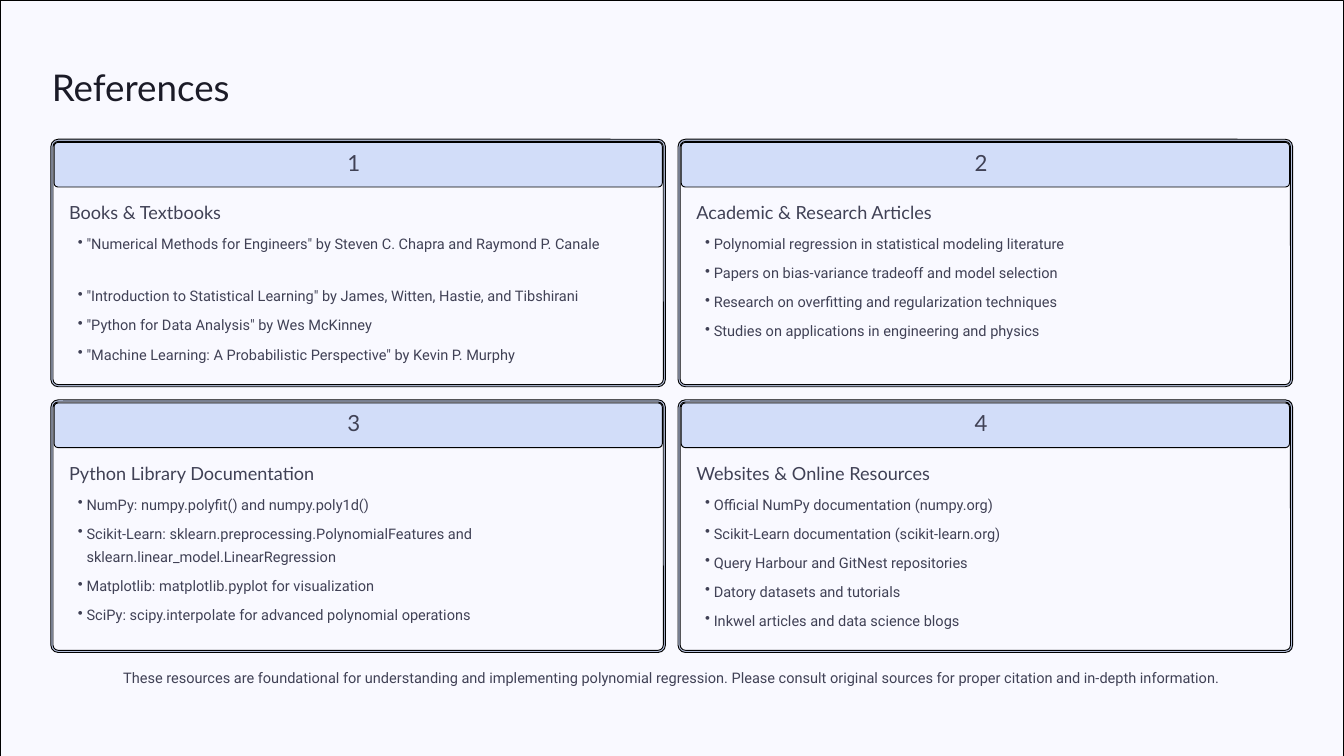
"""Build the references slide with four numbered source cards."""
from dataclasses import dataclass

from lxml.etree import SubElement
from pptx import Presentation
from pptx.dml.color import RGBColor
from pptx.enum.shapes import MSO_SHAPE as Shape
from pptx.enum.text import PP_ALIGN as Align
from pptx.oxml.ns import qn
from pptx.util import Pt

PAGE_WIDTH, PAGE_HEIGHT = 1440, 810
PAPER, BORDER, BAND = "F9F9FF", "B8C3DF", "D2DDF9"
INK, BODY_INK, OUTLINE = "1B1B27", "404155", "000000"

TITLE = {"font": "Lato", "size": 39.4, "color": INK, "line": 49.4}
NUMBER = {"font": "Lato", "size": 23.8, "color": BODY_INK, "line": 23.8}
HEADING = {"font": "Lato", "size": 19.4, "color": BODY_INK, "line": 24.4}
BODY = {"font": "Roboto", "size": 15.6, "color": BODY_INK, "line": 25}

CARD_LEFT, CARD_PITCH, CARD_WIDTH = 54.5, 672, 658.5
ROWS = [(149.2, 265.2), (428.4, 270.7)]
FRAME, BAND_INSET, BAND_HEIGHT = 2.3, 3.4, 47.8
TEXT_INSET, TEXT_WIDTH = 19.6, 620
ITEM_GAP = 6.15


@dataclass
class Card:
    """A source group, with any extra gap below its first item."""
    heading: str
    items: list
    first_gap: float = 0


CARDS = [
    Card("Books & Textbooks", [
        '"Numerical Methods for Engineers" by Steven C. Chapra and Raymond P. Canale',
        '"Introduction to Statistical Learning" by James, Witten, Hastie, and Tibshirani',
        '"Python for Data Analysis" by Wes McKinney',
        '"Machine Learning: A Probabilistic Perspective" by Kevin P. Murphy',
    ], first_gap=25),
    Card("Academic & Research Articles", [
        "Polynomial regression in statistical modeling literature",
        "Papers on bias-variance tradeoff and model selection",
        "Research on overfitting and regularization techniques",
        "Studies on applications in engineering and physics",
    ]),
    Card("Python Library Documentation", [
        "NumPy: numpy.polyfit() and numpy.poly1d()",
        "Scikit-Learn: sklearn.preprocessing.PolynomialFeatures and "
        "sklearn.linear_model.LinearRegression",
        "Matplotlib: matplotlib.pyplot for visualization",
        "SciPy: scipy.interpolate for advanced polynomial operations",
    ]),
    Card("Websites & Online Resources", [
        "Official NumPy documentation (numpy.org)",
        "Scikit-Learn documentation (scikit-learn.org)",
        "Query Harbour and GitNest repositories",
        "Datory datasets and tutorials",
        "Inkwel articles and data science blogs",
    ]),
]
CLOSING = ("These resources are foundational for understanding and implementing "
           "polynomial regression. Please consult original sources for proper "
           "citation and in-depth information.")


def color(value):
    """Turn a hex string into a colour."""
    return RGBColor.from_string(value)


def add_panel(page, left, top, width, height, fill, radius=0):
    """Add an outlined rectangle, rounded when a radius is given."""
    kind = Shape.ROUNDED_RECTANGLE if radius else Shape.RECTANGLE
    panel = page.shapes.add_shape(kind, Pt(left), Pt(top), Pt(width), Pt(height))
    if radius:
        panel.adjustments[0] = radius / min(width, height)
    panel.shadow.inherit = False
    panel.fill.solid()
    panel.fill.fore_color.rgb = color(fill)
    panel.line.color.rgb = color(OUTLINE)
    panel.line.width = Pt(1)


def add_bullet(para):
    """Give a paragraph a hanging bullet."""
    properties = para._p.get_or_add_pPr()
    properties.set("marL", str(Pt(18.7)))
    properties.set("indent", str(Pt(-9.4)))
    SubElement(properties, qn("a:buChar")).set("char", "•")


def add_text(page, left, top, width, height, lines, style, align=Align.LEFT, bullets=False):
    """Add a text box with one paragraph per line and return its paragraphs."""
    box = page.shapes.add_textbox(Pt(left), Pt(top), Pt(width), Pt(height))
    frame = box.text_frame
    margins = dict.fromkeys(("margin_left", "margin_top", "margin_right", "margin_bottom"), 0)
    for name, value in {"word_wrap": True, **margins}.items():
        setattr(frame, name, value)
    frame.text = "\n".join(lines)
    for para in frame.paragraphs:
        if bullets:
            add_bullet(para)
        para.alignment = align
        para.line_spacing = Pt(style["line"])
        for name, value in {"name": style["font"], "size": Pt(style["size"])}.items():
            setattr(para.font, name, value)
        para.font.color.rgb = color(style["color"])
    return frame.paragraphs


def add_list(page, left, top, card):
    """Add the bulleted sources of a card."""
    count = len(card.items)
    height = count * BODY["line"] + (count - 1) * ITEM_GAP + card.first_gap
    paras = add_text(page, left, top, TEXT_WIDTH, height, card.items, BODY, bullets=True)
    for para in paras[1:]:
        para.space_before = Pt(ITEM_GAP)
    if card.first_gap:
        paras[0].space_after = Pt(card.first_gap)


def add_card(page, index, card):
    """Add a framed card with its number band, heading and list."""
    row, column = divmod(index, 2)
    left = CARD_LEFT + column * CARD_PITCH
    top, height = ROWS[row]
    add_panel(page, left, top, CARD_WIDTH, height, BORDER, radius=7.9)
    add_panel(page, left + FRAME, top + FRAME, CARD_WIDTH - 2 * FRAME,
              height - 2 * FRAME, PAPER, radius=5.7)
    add_panel(page, left + BAND_INSET, top + BAND_INSET, CARD_WIDTH - 2 * BAND_INSET,
              BAND_HEIGHT, BAND, radius=4.2)
    add_text(page, left + 317.6, top + 15, 24, 26.6, [str(index + 1)], NUMBER)
    text_left = left + TEXT_INSET
    add_text(page, text_left, top + 66, 310, 26.6, [card.heading], HEADING)
    add_list(page, text_left, top + 96.2, card)


def main():
    """Build and save the deck."""
    deck = Presentation()
    deck.slide_width, deck.slide_height = Pt(PAGE_WIDTH), Pt(PAGE_HEIGHT)
    page = deck.slides.add_slide(deck.slide_layouts[6])
    add_panel(page, 0, 0, PAGE_WIDTH, PAGE_HEIGHT, PAPER)
    add_text(page, 55.6, 67, 398, 51, ["References"], TITLE)
    for index, card in enumerate(CARDS):
        add_card(page, index, card)
    add_text(page, 55.6, 710.8, 1328.4, 31, [CLOSING], BODY, align=Align.CENTER)
    deck.save("out.pptx")


if __name__ == "__main__":
    main()
